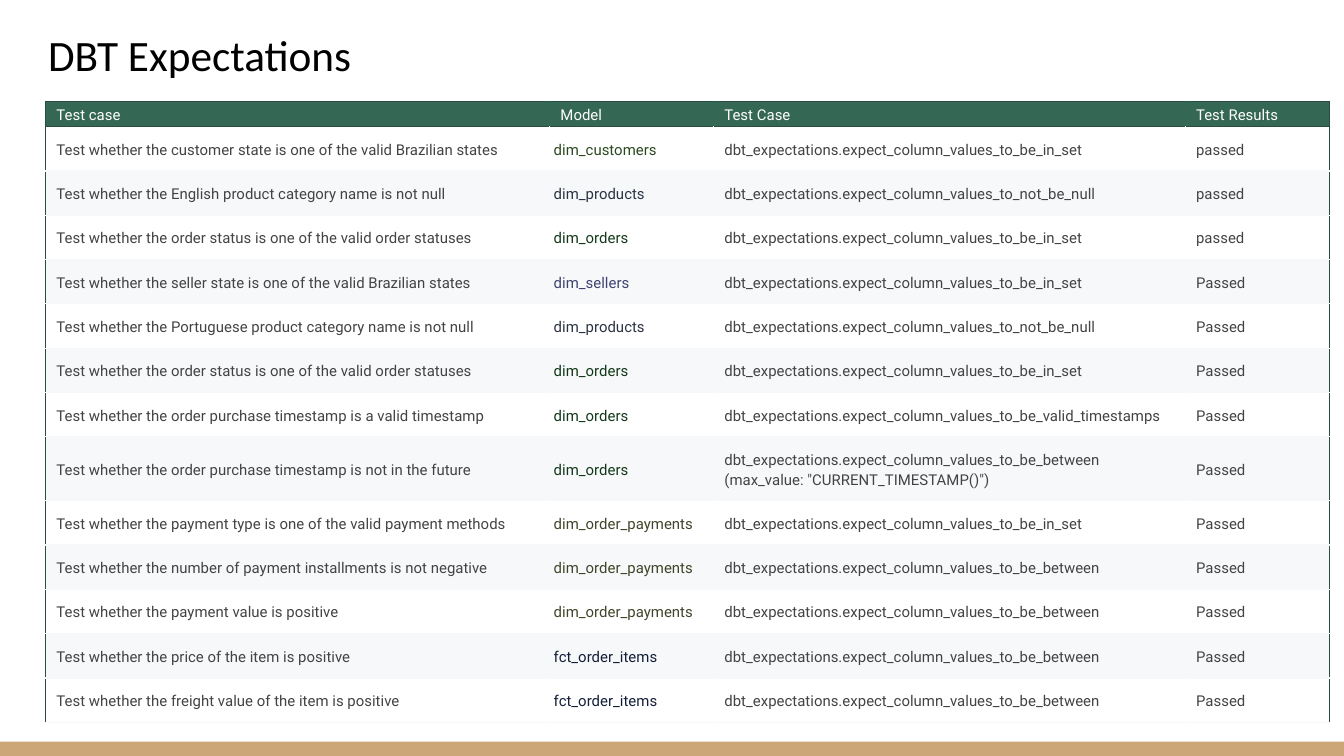
from typing import NamedTuple

from lxml import etree
from pptx import Presentation
from pptx.dml.color import RGBColor
from pptx.enum.shapes import MSO_SHAPE
from pptx.enum.text import MSO_ANCHOR
from pptx.oxml.ns import qn
from pptx.util import Inches, Pt

RECT = MSO_SHAPE.RECTANGLE
MIDDLE = MSO_ANCHOR.MIDDLE
BOTTOM = MSO_ANCHOR.BOTTOM

# Grid of 100 columns by 100 rows over the slide
WIDE, HIGH = 10, 5.625
COLS = (37.5, 12.2, 35.1, 10.7)
HEAD_ROW, ROW, LINE = 3.2, 5.86, 2.62

HEX = {
    "black": "000000", "white": "FFFFFF", "pale": "F6F8F9", "text": "434343",
    "green": "356854", "edge": "284E3F", "sand": "CCA677",
}
MODELS = {
    "dim_customers": "2C481F", "dim_products": "2A3243",
    "dim_orders": "133819", "dim_sellers": "3F4170",
    "dim_order_payments": "3F4528", "fct_order_items": "131D38",
}


class Test(NamedTuple):
    case: str
    model: str
    check: str
    result: str = "Passed"


HEAD = Test("Test case", "Model", "Test Case", "Test Results")
SET, NULL, RANGE, STAMP = (
    f"dbt_expectations.expect_column_values_to_{end}"
    for end in ("be_in_set", "not_be_null", "be_between", "be_valid_timestamps")
)
TESTS = [
    Test("Test whether the customer state is one of the valid Brazilian states",
         "dim_customers", SET, "passed"),
    Test("Test whether the English product category name is not null",
         "dim_products", NULL, "passed"),
    Test("Test whether the order status is one of the valid order statuses",
         "dim_orders", SET, "passed"),
    Test("Test whether the seller state is one of the valid Brazilian states",
         "dim_sellers", SET),
    Test("Test whether the Portuguese product category name is not null",
         "dim_products", NULL),
    Test("Test whether the order status is one of the valid order statuses",
         "dim_orders", SET),
    Test("Test whether the order purchase timestamp is a valid timestamp",
         "dim_orders", STAMP),
    Test("Test whether the order purchase timestamp is not in the future",
         "dim_orders", RANGE + '\n(max_value: "CURRENT_TIMESTAMP()")'),
    Test("Test whether the payment type is one of the valid payment methods",
         "dim_order_payments", SET),
    Test("Test whether the number of payment installments is not negative",
         "dim_order_payments", RANGE),
    Test("Test whether the payment value is positive",
         "dim_order_payments", RANGE),
    Test("Test whether the price of the item is positive",
         "fct_order_items", RANGE),
    Test("Test whether the freight value of the item is positive",
         "fct_order_items", RANGE),
]


def across(cols: float) -> int:
    return Inches(WIDE * cols / 100)


def down(rows: float) -> int:
    return Inches(HIGH * rows / 100)


def style(frame, font: str, size: float, color: str, space: float = 1) -> None:
    for para in frame.paragraphs:
        para.line_spacing = space
        for run in para.runs:
            run.font.name = font
            run.font.size = Pt(size)
            run.font.color.rgb = RGBColor.from_string(color)


def border(cell, side: str, color: str) -> None:
    line = etree.SubElement(cell._tc.get_or_add_tcPr(), qn(f"a:ln{side}"), w=str(Pt(0.75)))
    fill = etree.SubElement(line, qn("a:solidFill"))
    etree.SubElement(fill, qn("a:srgbClr"), val=color)


def draw_cell(cell, text: str, row: int, col: int) -> None:
    head = row == 0
    back = HEX["green" if head else "white" if row % 2 else "pale"]
    ink = HEX["white"] if head else MODELS.get(text, HEX["text"])

    # Dark outer frame and header lines, pale lines between rows
    dark = HEX["edge"]
    border(cell, "L", dark if col == 0 else back)
    border(cell, "R", dark if col == len(COLS) - 1 else back)
    border(cell, "T", dark if row < 2 else HEX["pale"])
    border(cell, "B", back if head else HEX["pale"])
    cell.fill.solid()
    cell.fill.fore_color.rgb = RGBColor.from_string(back)

    cell.vertical_anchor = MIDDLE
    cell.margin_left = cell.margin_right = Inches(0.03 if text in MODELS else 0.08)
    cell.margin_top = cell.margin_bottom = Inches(0.02)
    cell.text_frame.text = text
    style(cell.text_frame, "Roboto", 8, ink, 1.15)


def draw_table(slide, tests: list[Test]) -> None:
    rows = [HEAD, *tests]
    highs = [HEAD_ROW] + [ROW + LINE * test.check.count("\n") for test in tests]
    table = slide.shapes.add_table(
        len(rows), len(COLS), across(3.4), down(13.4),
        across(sum(COLS)), down(sum(highs))).table
    for col, share in zip(table.columns, COLS):
        col.width = across(share)
    for r, (test, high) in enumerate(zip(rows, highs)):
        table.rows[r].height = down(high)
        for c, text in enumerate(test):
            draw_cell(table.cell(r, c), text, r, c)


def draw_bar(slide) -> None:
    bar = slide.shapes.add_shape(RECT, 0, down(98.1), across(100), down(1.9))
    bar.shadow.inherit = False
    bar.fill.solid()
    bar.fill.fore_color.rgb = RGBColor.from_string(HEX["sand"])
    bar.line.fill.background()


def draw_title(slide, text: str) -> None:
    frame = slide.shapes.add_textbox(
        across(2.6), down(1.2), across(93.2), down(11.2)).text_frame
    frame.word_wrap = True
    frame.vertical_anchor = BOTTOM
    frame.margin_left = frame.margin_right = Inches(0.1)
    frame.margin_top = frame.margin_bottom = Inches(0.1)
    frame.text = text
    style(frame, "Calibri", 23.2, HEX["black"])


def main() -> None:
    deck = Presentation()
    deck.slide_width, deck.slide_height = across(100), down(100)
    slide = deck.slides.add_slide(deck.slide_layouts[6])
    draw_bar(slide)
    draw_table(slide, TESTS)
    draw_title(slide, "DBT Expectations")
    deck.save("out.pptx")


if __name__ == "__main__":
    main()
